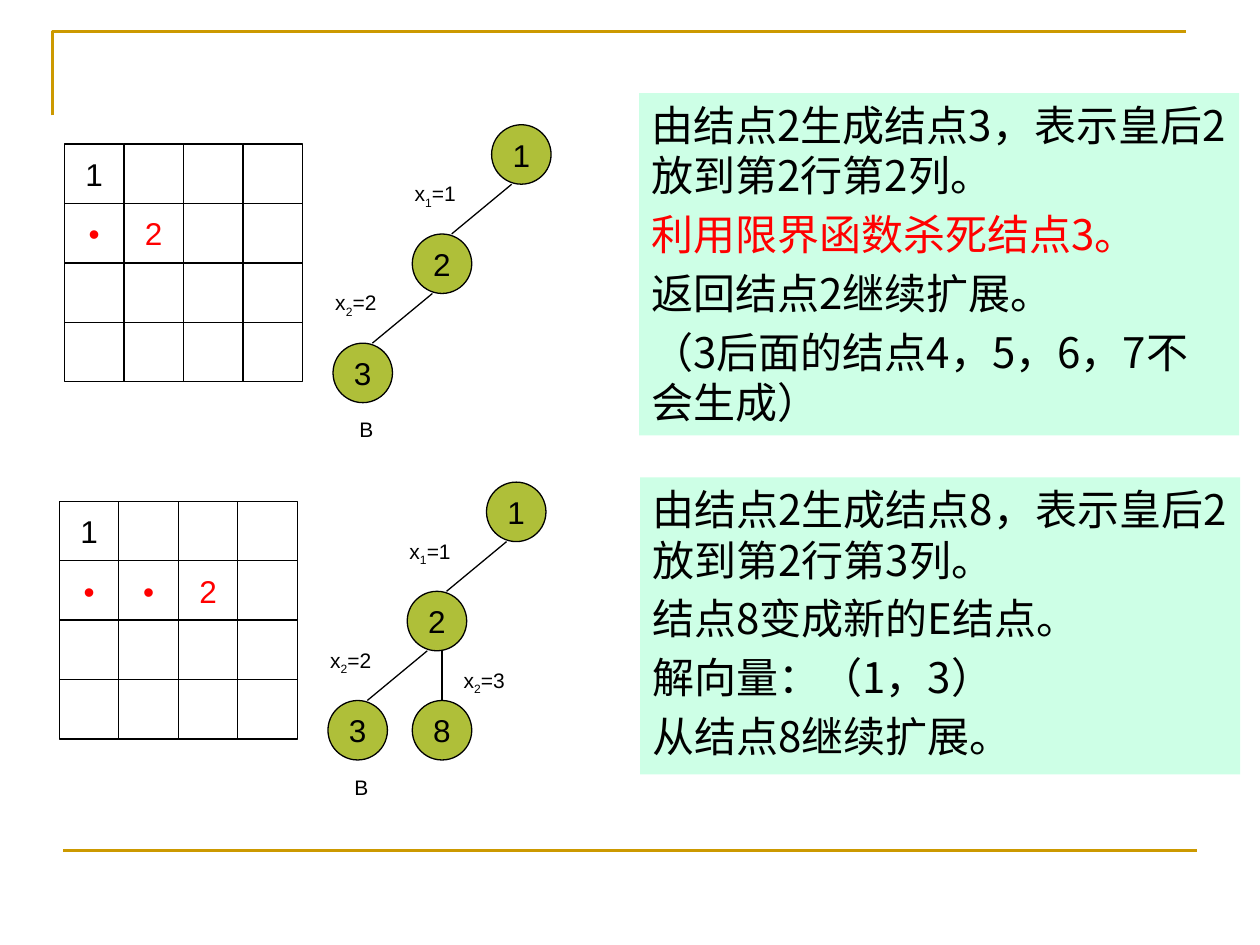
from dataclasses import dataclass

import pptx
import pptx.dml.color
import pptx.enum.shapes
import pptx.enum.text
import pptx.oxml
import pptx.oxml.ns
import pptx.util

Pt = pptx.util.Pt
SHAPE = pptx.enum.shapes.MSO_SHAPE
ALIGN = pptx.enum.text.PP_ALIGN
ANCHOR = pptx.enum.text.MSO_ANCHOR


@dataclass(frozen=True)
class Theme:
    ink: str = "000000"
    accent: str = "FF0000"
    rule: str = "CC9900"
    node: str = "AFBF39"
    panel: str = "CDFFE6"
    latin: str = "Arial"
    chinese: str = "Noto Sans CJK SC"
    mark_size: float = 18
    label_size: float = 12
    panel_size: float = 24
    thin: float = 0.75
    thick: float = 1.5


THEME = Theme()
CELL = 34
GRID = 4
# Tree geometry, relative to the top left corner of the board
ROOT = (244.1, -10.9)
STEP_LEFT, STEP_DOWN = 45.3, 62.4


def rgb(value):
    return pptx.dml.color.RGBColor.from_string(value)


def apply(target, formats):
    for name, value in formats.items():
        setattr(target, name, value)


def add_span(para, text, size, color=THEME.ink, font=THEME.latin, baseline=0):
    span = para.add_run()
    span.text = text
    apply(span.font, {"name": font, "size": Pt(size)})
    span.font.color.rgb = rgb(color)
    properties = span.font._element
    if baseline:
        properties.set("baseline", str(baseline * 1000))
    if font == THEME.chinese:
        east_asian = pptx.oxml.parse_xml(
            f'<a:ea {pptx.oxml.ns.nsdecls("a")} typeface="{font}"/>')
        properties.find(pptx.oxml.ns.qn("a:latin")).addnext(east_asian)


def style_line(line, color, width):
    line.color.rgb = rgb(color)
    line.width = Pt(width)


def add_figure(shapes, kind, left, top, width, height, fill=None, outlined=True):
    figure = shapes.add_shape(kind, Pt(left), Pt(top), Pt(width), Pt(height))
    figure.shadow.inherit = False
    if fill:
        figure.fill.solid()
        figure.fill.fore_color.rgb = rgb(fill)
    else:
        figure.fill.background()
    if outlined:
        style_line(figure.line, THEME.ink, THEME.thin)
    else:
        figure.line.fill.background()
    return figure


def add_mark(figure, text, color=THEME.ink):
    """Centre one character in a board cell or tree node."""
    apply(figure.text_frame, {"word_wrap": False, "vertical_anchor": ANCHOR.MIDDLE})
    para = figure.text_frame.paragraphs[0]
    para.alignment = ALIGN.CENTER
    add_span(para, text, THEME.mark_size, color)


def add_line(page, start, end, color=THEME.ink, width=THEME.thin):
    line = page.shapes.add_connector(
        pptx.enum.shapes.MSO_CONNECTOR.STRAIGHT, *map(Pt, start + end))
    style_line(line.line, color, width)
    line._element.spPr.append(
        pptx.oxml.parse_xml(f'<a:effectLst {pptx.oxml.ns.nsdecls("a")}/>'))


def add_label(page, left, top, text, subscript="", ending=""):
    box = page.shapes.add_textbox(Pt(left), Pt(top), Pt(45.4), Pt(21.6))
    box.text_frame.word_wrap = True
    para = box.text_frame.paragraphs[0]
    for part, baseline in ((text, 0), (subscript, -25), (ending, 0)):
        if part:
            add_span(para, part, THEME.label_size, baseline=baseline)


def add_frame(page):
    """Draw the corner at the top and the rule at the bottom."""
    builder = page.shapes.build_freeform(Pt(30), Pt(66), scale=1.0)
    builder.add_line_segments([(Pt(30), Pt(18)), (Pt(678), Pt(18))], close=False)
    corner = builder.convert_to_shape()
    corner.shadow.inherit = False
    corner.fill.background()
    style_line(corner.line, THEME.rule, THEME.thick)
    add_line(page, (36, 486), (684, 486), THEME.rule, THEME.thick)


def add_board(page, left, top, marks):
    """marks maps (row, column) to a character and its colour."""
    board = page.shapes.add_group_shape()
    for row in range(GRID):
        for column in range(GRID):
            cell = add_figure(board.shapes, SHAPE.RECTANGLE, left + column * CELL,
                              top + row * CELL, CELL, CELL)
            if (row, column) in marks:
                add_mark(cell, *marks[row, column])


def add_node(page, left, top, text):
    node = add_figure(page.shapes, SHAPE.OVAL, left, top, CELL, CELL, THEME.node)
    add_mark(node, text)


def add_tree(page, left, top, has_branch):
    places = [(left + ROOT[0] - level * STEP_LEFT, top + ROOT[1] + level * STEP_DOWN)
              for level in range(3)]
    for number, (x, y) in enumerate(places, 1):
        add_node(page, x, y, str(number))
    for level, (parent, child) in enumerate(zip(places, places[1:]), 1):
        add_line(page, (parent[0] + 11.5, parent[1] + CELL), (child[0] + 22.5, child[1]))
        add_label(page, child[0] - 5.8, child[1] - 33.9, "x", str(level), f"={level}")
    x, y = places[2]
    add_label(page, x + 8, y + 38.5, "B")
    if has_branch:
        branch = x + STEP_LEFT + 2.9
        add_node(page, branch, y, "8")
        add_line(page, (branch + CELL / 2, y - STEP_DOWN + CELL), (branch + CELL / 2, y))
        add_label(page, branch + 22.3, y - 22.6, "x", "2", "=3")


def add_panel(page, left, top, height, lines):
    panel = add_figure(page.shapes, SHAPE.RECTANGLE, left, top, 342.9, height,
                       THEME.panel, outlined=False)
    frame = panel.text_frame
    apply(frame, {"word_wrap": True, "vertical_anchor": ANCHOR.TOP})
    for index, (text, color) in enumerate(lines):
        para = frame.add_paragraph() if index else frame.paragraphs[0]
        apply(para, {"alignment": ALIGN.LEFT, "line_spacing": Pt(28.8),
                     "space_before": Pt(4.8 if index else 0)})
        add_span(para, text, THEME.panel_size, color, THEME.chinese)


def main():
    deck = pptx.Presentation()
    apply(deck, {"slide_width": Pt(720), "slide_height": Pt(540)})
    page = deck.slides.add_slide(deck.slide_layouts[6])
    ink, accent = THEME.ink, THEME.accent
    add_frame(page)

    add_board(page, 36.8, 82.2, {(0, 0): ("1", ink), (1, 0): ("•", accent),
                                 (1, 1): ("2", accent)})
    add_tree(page, 36.8, 82.2, has_branch=False)
    add_panel(page, 365.2, 53.2, 195.6, [
        ("由结点2生成结点3，表示皇后2放到第2行第2列。", ink),
        ("利用限界函数杀死结点3。", accent),
        ("返回结点2继续扩展。", ink),
        ("（3后面的结点4，5，6，7不会生成）", ink)])

    add_board(page, 33.9, 286.4, {(0, 0): ("1", ink), (1, 0): ("•", accent),
                                  (1, 1): ("•", accent), (1, 2): ("2", accent)})
    add_tree(page, 33.9, 286.4, has_branch=True)
    add_panel(page, 365.8, 272.8, 169.7, [
        ("由结点2生成结点8，表示皇后2放到第2行第3列。", ink),
        ("结点8变成新的E结点。", ink),
        ("解向量：（1，3）", ink),
        ("从结点8继续扩展。", ink)])
    deck.save("out.pptx")


if __name__ == "__main__":
    main()
